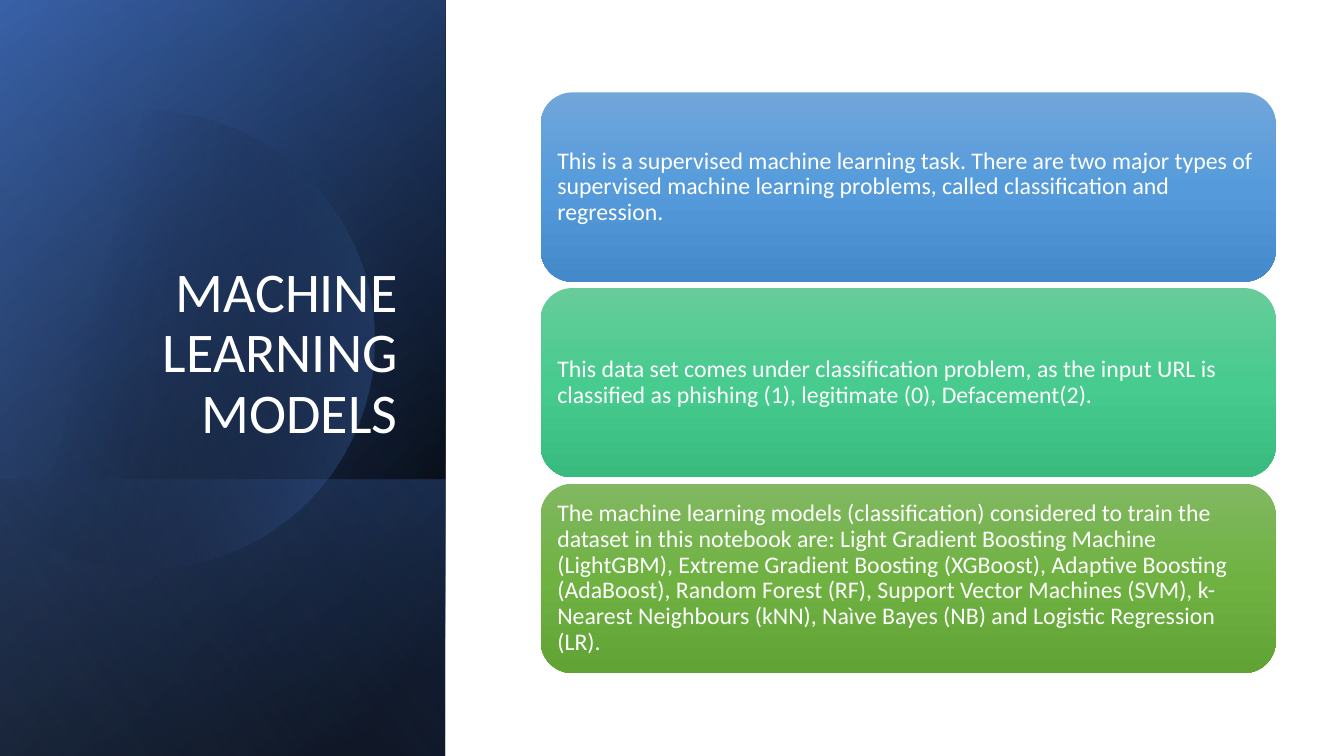
import math

from pptx import Presentation, oxml
from pptx import util as u
from pptx.dml.color import RGBColor
from pptx.enum import shapes, text
from pptx.oxml import ns

PX = 9525
WIDTH, HEIGHT = 1280, 720
FONT = "Calibri"
WHITE = "FFFFFF"

TITLE = "MACHINE LEARNING MODELS"
CARDS = [
    ("This is a supervised machine learning task. There are two major types of "
     "supervised machine learning problems, called classification and regression.",
     ("71A6DB", "559BDB", "448ACA")),
    ("This data set comes under classification problem, as the input URL is "
     "classified as phishing (1), legitimate (0), Defacement(2).",
     ("67CC9A", "47CB8E", "39BB7F")),
    ("The machine learning models (classification) considered to train the dataset "
     "in this notebook are: Light Gradient Boosting Machine (LightGBM), Extreme "
     "Gradient Boosting (XGBoost), Adaptive Boosting (AdaBoost), Random Forest (RF), "
     "Support Vector Machines (SVM), k-Nearest Neighbours (kNN), Naìve Bayes (NB) "
     "and Logistic Regression (LR).",
     ("81B861", "6FB242", "62A336")),
]


def px(*lengths):
    """Turn px lengths into EMU."""
    return [u.Emu(round(n * PX)) for n in lengths]


def color(hex_string):
    """Turn a hex string into a colour."""
    return RGBColor.from_string(hex_string)


def paint(s, stops, angle):
    """Fill a shape with a gradient of (position, colour, opacity) stops, without line or shadow."""
    s.shadow.inherit = False
    s.line.fill.background()
    s.fill.background()
    gs = "".join(
        f'<a:gs pos="{pos * 1000}"><a:srgbClr val="{color(rgb)}">'
        f'<a:alpha val="{opacity * 1000}"/></a:srgbClr></a:gs>'
        for pos, rgb, opacity in stops)
    grad = oxml.parse_xml(
        f'<a:gradFill {ns.nsdecls("a")} rotWithShape="1"><a:gsLst>{gs}</a:gsLst>'
        f'<a:lin ang="{angle * 60000}" scaled="0"/></a:gradFill>')
    spPr = s._element.spPr
    spPr.replace(spPr.find(ns.qn("a:noFill")), grad)


def write(s, words, size, align, anchor):
    """Put one white paragraph into a shape."""
    tf = s.text_frame
    tf.word_wrap = True
    tf.vertical_anchor = anchor
    p = tf.paragraphs[0]
    p.text = words
    p.alignment = align
    p.line_spacing = 0.9
    p.font.name = FONT
    p.font.size = u.Pt(size)
    p.font.color.rgb = color(WHITE)


def turned_rect(sp, box, stops, angle):
    """Cover a box with a mirrored rectangle turned by a quarter."""
    x, y, w, h = box
    s = sp.add_shape(shapes.MSO_SHAPE.RECTANGLE,
                     *px(x + (w - h) / 2, y + (h - w) / 2, h, w))
    s.rotation = 90
    s._element.spPr.find(ns.qn("a:xfrm")).set("flipH", "1")
    paint(s, stops, angle)


def disc(sp, box, cx, cy, radius):
    """Draw a translucent disc cut off at the left edge of the box."""
    x, y = box[:2]
    reach = math.acos(-cx / radius)
    steps = 120
    angles = [reach * (2 * i / steps - 1) for i in range(steps + 1)]
    points = [(round((x + cx + radius * math.cos(a)) * PX),
               round((y + cy + radius * math.sin(a)) * PX)) for a in angles]
    builder = sp.build_freeform(*points[0])
    builder.add_line_segments(points[1:], close=True)
    paint(builder.convert_to_shape(), [(29, "000000", 0), (100, "4472C4", 43)], 14)


def title_panel(sp, box):
    """Draw the layered dark panel and its title."""
    x, y, w, h = box
    foot = 263
    turned_rect(sp, box, [(8, "000000", 100), (100, "2F5597", 100)], 50)
    turned_rect(sp, box, [(0, "000000", 0), (99, "4472C4", 46)], 30)
    turned_rect(sp, (x, y + h - foot, w, foot),
                [(2, "4472C4", 29), (100, "000000", 30)], 130)
    disc(sp, box, 139, 323, 218)
    turned_rect(sp, box, [(0, "000000", 0), (99, "8FAADC", 11)], 120)
    s = sp.add_textbox(*px(x + 61, y + 177, 327, 252))
    write(s, TITLE, 40, text.PP_ALIGN.RIGHT, text.MSO_ANCHOR.BOTTOM)


def card_stack(sp, box, gap=6):
    """Stack the rounded text cards evenly in a box."""
    x, y, w, h = box
    card_h = (h - gap * (len(CARDS) - 1)) / len(CARDS)
    for i, (words, colors) in enumerate(CARDS):
        s = sp.add_shape(shapes.MSO_SHAPE.ROUNDED_RECTANGLE,
                         *px(x, y + i * (card_h + gap), w, card_h))
        paint(s, [(50 * n, rgb, 100) for n, rgb in enumerate(colors)], 90)
        tf = s.text_frame
        tf.margin_left, tf.margin_top, tf.margin_right, tf.margin_bottom = px(7, 7, 7, 7)
        write(s, words, 17, text.PP_ALIGN.LEFT, text.MSO_ANCHOR.MIDDLE)


def main():
    """Build and save the slide."""
    prs = Presentation()
    prs.slide_width, prs.slide_height = px(WIDTH, HEIGHT)
    sp = prs.slides.add_slide(prs.slide_layouts[6]).shapes
    title_panel(sp, (0, 0, 424, HEIGHT))
    card_stack(sp, (515, 88, 700, 553))
    prs.save("out.pptx")


if __name__ == "__main__":
    main()
